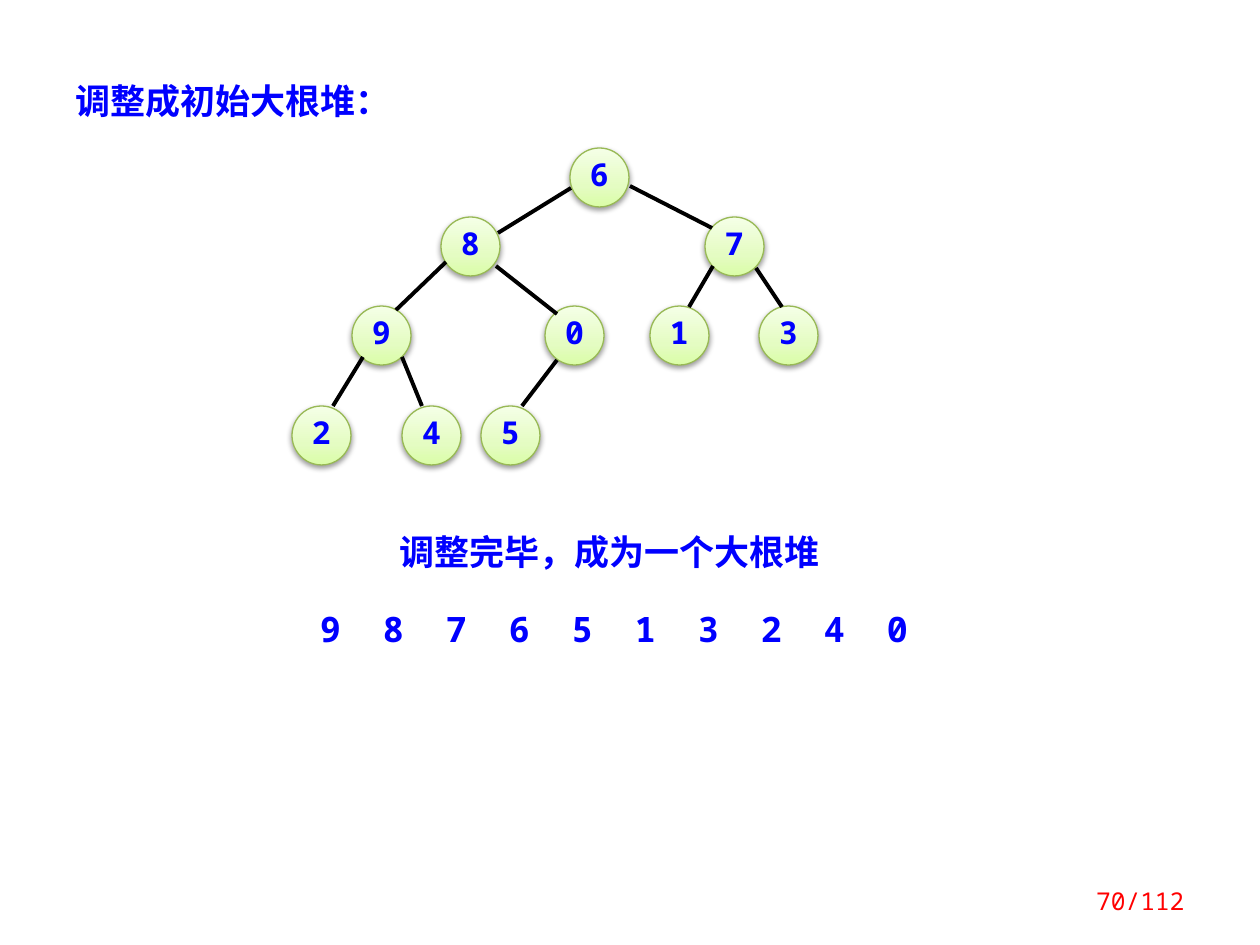
import copy
from typing import NamedTuple

import lxml.etree
import pptx
import pptx.dml.color
import pptx.enum.shapes
import pptx.enum.text
import pptx.oxml.ns
import pptx.util

PX = 914400 / 126
DIAMETER = 59
DIGIT_PITCH = 63
CJK, MONO = "Noto Sans CJK SC", "Noto Sans Mono"
COLORS = {
    "text": "0000FF", "page": "FF0000", "edge": "000000", "outline": "98B955",
    "bottom": "DAFDA7", "middle": "E4FCC2", "top": "F5FFE7", "shadow": "000000",
}
GRADIENT = [(0, "bottom"), (0.35, "middle"), (1, "top")]
ALIGN = pptx.enum.text.PP_ALIGN
ANCHOR = pptx.enum.text.MSO_ANCHOR


class Node(NamedTuple):
    key: str
    left: int
    top: int


class Edge(NamedTuple):
    x1: int
    y1: int
    x2: int
    y2: int


class Label(NamedTuple):
    text: str
    box: tuple[int, int, int, int]
    font: str
    align: ALIGN


LEVELS = [
    (148, [("6", 570)]),
    (217, [("8", 441), ("7", 705)]),
    (306, [("9", 352), ("0", 545), ("1", 650), ("3", 759)]),
    (406, [("2", 292), ("4", 402), ("5", 481)]),
]
NODES = [Node(key, left, top) for top, row in LEVELS for key, left in row]
EDGES = [
    Edge(571, 188, 498, 233), Edge(630, 186, 712, 228),
    Edge(446, 262, 396, 310), Edge(496, 266, 557, 314),
    Edge(713, 266, 689, 307), Edge(756, 268, 782, 307),
    Edge(363, 357, 333, 406), Edge(402, 357, 422, 406),
    Edge(557, 360, 522, 406),
]
HEAP_ORDER = "9876513240"
LABELS = [
    Label("调整成初始大根堆：", (63, 73, 449, 55), CJK, ALIGN.LEFT),
    Label("调整完毕，成为一个大根堆", (312, 524, 595, 55), CJK, ALIGN.CENTER),
]


def px(length: float) -> int:
    return round(length * PX)


def rgb(name: str) -> pptx.dml.color.RGBColor:
    return pptx.dml.color.RGBColor.from_string(COLORS[name])


def sub(parent, tag: str, **attributes):
    return lxml.etree.SubElement(parent, pptx.oxml.ns.qn(tag), attributes)


def write(frame, text: str, *, font: str = MONO, size: int = 20, color: str = "text",
          bold: bool = True, align=ALIGN.LEFT, anchor=ANCHOR.TOP, wrap: bool = True,
          spacing: float | None = None, tabs: tuple[int, ...] = ()) -> None:
    frame.word_wrap = wrap
    frame.vertical_anchor = anchor
    paragraph = frame.paragraphs[0]
    paragraph.alignment = align
    if spacing:
        paragraph.line_spacing = spacing
    if tabs:
        stops = sub(paragraph._p.get_or_add_pPr(), "a:tabLst")
        for stop in tabs:
            sub(stops, "a:tab", pos=str(px(stop)), algn="l")
    run = paragraph.add_run()
    run.text = text
    run.font.name, run.font.bold = font, bold
    run.font.size = pptx.util.Pt(size)
    run.font.color.rgb = rgb(color)
    sub(run._r.get_or_add_rPr(), "a:ea", typeface=font)


def add_box(slide, box: tuple[int, int, int, int]):
    return slide.shapes.add_textbox(*map(px, box)).text_frame


def paint_gradient(fill) -> None:
    fill.gradient()
    fill.gradient_angle = 90
    stop_list = fill.gradient_stops[0]._gs.getparent()
    stop_list.append(copy.deepcopy(stop_list[-1]))
    for stop, (position, name) in zip(fill.gradient_stops, GRADIENT):
        stop.position = position
        stop.color.rgb = rgb(name)


def cast_shadow(shape) -> None:
    shape.shadow.inherit = False
    effects = shape._element.spPr.find(pptx.oxml.ns.qn("a:effectLst"))
    shadow = sub(effects, "a:outerShdw", blurRad=str(pptx.util.Pt(3.1)),
                 dist=str(pptx.util.Pt(1.6)), dir="5400000", rotWithShape="0")
    sub(sub(shadow, "a:srgbClr", val=COLORS["shadow"]), "a:alpha", val="38000")


def draw_node(slide, node: Node) -> None:
    circle = slide.shapes.add_shape(pptx.enum.shapes.MSO_SHAPE.OVAL, px(node.left),
                                    px(node.top), px(DIAMETER), px(DIAMETER))
    paint_gradient(circle.fill)
    circle.line.color.rgb = rgb("outline")
    circle.line.width = pptx.util.Pt(0.75)
    cast_shadow(circle)
    write(circle.text_frame, node.key, size=18, align=ALIGN.CENTER,
          anchor=ANCHOR.MIDDLE, wrap=False, spacing=0.8)


def draw_edge(slide, edge: Edge) -> None:
    branch = slide.shapes.add_connector(pptx.enum.shapes.MSO_CONNECTOR.STRAIGHT,
                                        *map(px, edge))
    branch.line.color.rgb = rgb("edge")
    branch.line.width = pptx.util.Pt(2.25)
    sub(branch._element.spPr, "a:effectLst")


def draw_label(slide, label: Label) -> None:
    frame = add_box(slide, label.box)
    write(frame, label.text, font=label.font, align=label.align)
    frame.auto_size = pptx.enum.text.MSO_AUTO_SIZE.SHAPE_TO_FIT_TEXT


def draw_heap_order(slide) -> None:
    frame = add_box(slide, (286, 601, 659, 55))
    frame.margin_left = px(34)
    write(frame, "\t".join(HEAP_ORDER),
          tabs=tuple(DIGIT_PITCH * step for step in range(1, len(HEAP_ORDER))))
    frame.auto_size = pptx.enum.text.MSO_AUTO_SIZE.SHAPE_TO_FIT_TEXT


def main() -> None:
    deck = pptx.Presentation()
    deck.slide_width, deck.slide_height = px(1260), px(945)
    slide = deck.slides.add_slide(deck.slide_layouts[6])
    for node in NODES:
        draw_node(slide, node)
    for edge in EDGES:
        draw_edge(slide, edge)
    for label in LABELS:
        draw_label(slide, label)
    draw_heap_order(slide)
    write(add_box(slide, (1043, 876, 154, 50)), "70/112", size=14, color="page",
          bold=False, align=ALIGN.RIGHT, anchor=ANCHOR.MIDDLE)
    deck.save("out.pptx")


if __name__ == "__main__":
    main()
